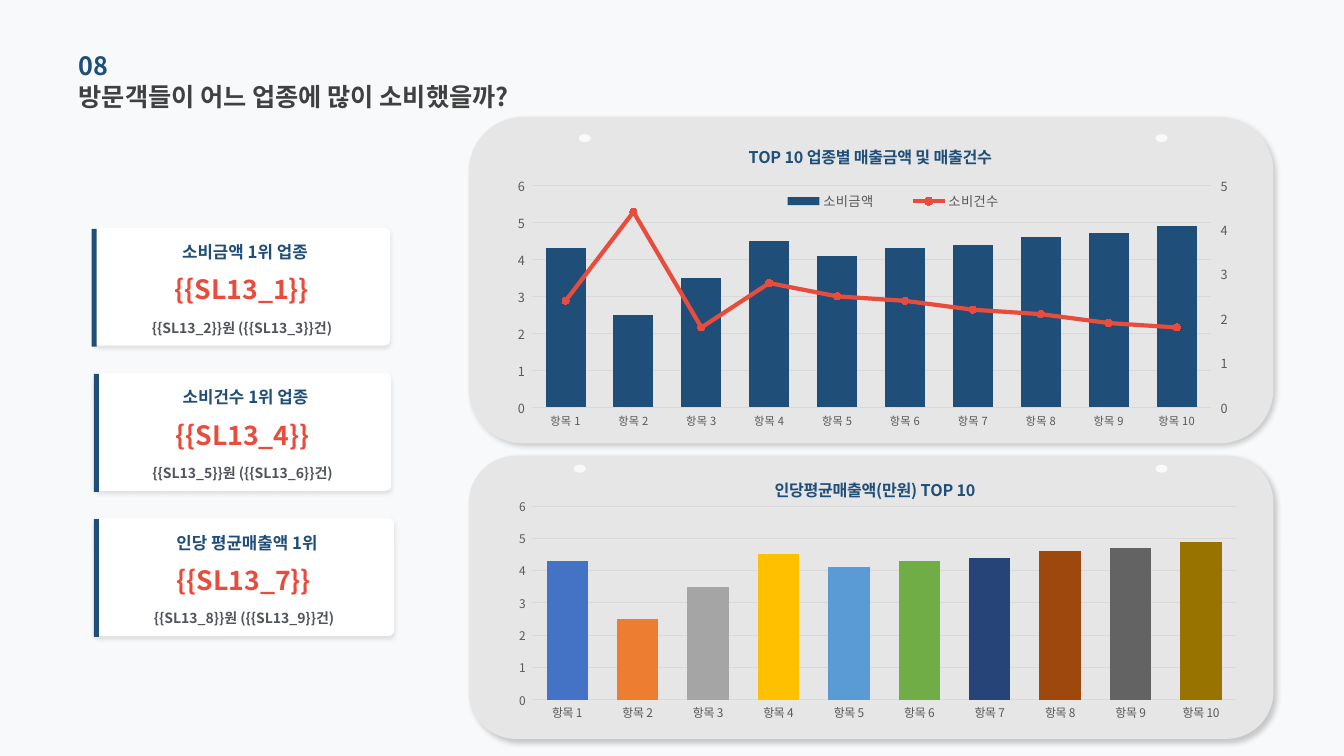
import copy

import pptx
import pptx.chart.data
import pptx.dml.color
import pptx.enum.chart
import pptx.enum.shapes
import pptx.enum.text
import pptx.oxml
import pptx.oxml.ns
import pptx.util

Inches, Pt = pptx.util.Inches, pptx.util.Pt
qn = pptx.oxml.ns.qn
RGBColor = pptx.dml.color.RGBColor
SHAPE = pptx.enum.shapes.MSO_SHAPE
ALIGN = pptx.enum.text.PP_ALIGN
TICK = pptx.enum.chart.XL_TICK_MARK

NAVY, RED = RGBColor(0x1F, 0x4E, 0x79), RGBColor(0xE7, 0x4C, 0x3C)
WHITE, PAPER = RGBColor(0xFF, 0xFF, 0xFF), RGBColor(0xF8, 0xF9, 0xFA)
PANEL, GRID = RGBColor(0xE7, 0xE6, 0xE6), RGBColor(0xD9, 0xD9, 0xD9)
DARK, SLATE = RGBColor(0x40, 0x40, 0x40), RGBColor(0x51, 0x54, 0x5A)
GREY = RGBColor(0x59, 0x59, 0x59)
BAR_COLORS = [RGBColor.from_string(code) for code in (
    "4472C4", "ED7D31", "A5A5A5", "FFC000", "5B9BD5",
    "70AD47", "264478", "9E480E", "636363", "997300")]
FONT = "Noto Sans CJK KR"

# Content
HEADINGS = [("08", 0.44, NAVY), ("방문객들이 어느 업종에 많이 소비했을까?", 0.75, DARK)]
CARDS = [  # lines, bar left, card width
    (("소비금액 1위 업종", "{{SL13_1}}", "{{SL13_2}}원 ({{SL13_3}}건)"), 0.91, 2.94),
    (("소비건수 1위 업종", "{{SL13_4}}", "{{SL13_5}}원 ({{SL13_6}}건)"), 0.93, 2.95),
    (("인당 평균매출액 1위", "{{SL13_7}}", "{{SL13_8}}원 ({{SL13_9}}건)"), 0.93, 2.98),
]
CARD_LINES = [  # offset from card top, height, shift right, size, colour
    (0.13, 0.22, 0.03, 12, NAVY),
    (0.44, 0.34, 0, 19, RED),
    (0.91, 0.17, 0, 10, SLATE),
]
CARD_LEFT, CARD_TOP, CARD_HEIGHT, CARD_STEP = 0.93, 2.26, 1.17, 1.44
PANELS = [(4.65, 4.52, 7.98, 2.81), (4.65, 1.16, 7.98, 3.24)]
HOLES = [(5.74, 1.33), (11.46, 1.33), (5.69, 4.61), (11.46, 4.61)]
CATEGORIES = [f"항목 {number}" for number in range(1, 11)]
AMOUNTS = [4.3, 2.5, 3.5, 4.5, 4.1, 4.3, 4.4, 4.6, 4.7, 4.9]
COUNTS = [2.4, 4.4, 1.8, 2.8, 2.5, 2.4, 2.2, 2.1, 1.9, 1.8]
SALES = dict(at=(4.98, 1.24, 7.32, 3.15), title="TOP 10 업종별 매출금액 및 매출건수",
             title_at=(0.33, 0.05), plot_at=(0.04, 0.19, 0.92, 0.7),
             sizes=(8, 9), series=[("소비금액", AMOUNTS), ("소비건수", COUNTS)])
AVERAGE = dict(at=(4.98, 4.54, 7.43, 2.67), title="인당평균매출액(만원) TOP 10",
               title_at=(0.36, 0.06), plot_at=(0.04, 0.18, 0.94, 0.72),
               sizes=(8.5, 8.5), series=[("Series 1", AMOUNTS)])


def apply(target, **values):
    for name, value in values.items():
        if name == "color":
            target.color.rgb = value
        else:
            setattr(target, name, value)


def paint(fill, color):
    fill.solid()
    fill.fore_color.rgb = color


def add_block(parent, kind, at, color, shadow=None):
    shape = parent.shapes.add_shape(kind, *map(Inches, at))
    paint(shape.fill, color)
    shape.line.fill.background()
    shape.shadow.inherit = False
    if shadow:
        alpha, blur, distance, angle = shadow
        effects = shape.element.spPr.find(qn("a:effectLst"))
        effects.append(pptx.oxml.parse_xml(
            f'<a:outerShdw {pptx.oxml.ns.nsdecls("a")} blurRad="{Pt(blur)}" dist="{Pt(distance)}" '
            f'dir="{angle * 60000}" algn="ctr" rotWithShape="0"><a:srgbClr val="000000">'
            f'<a:alpha val="{alpha * 1000}"/></a:srgbClr></a:outerShdw>'))
    return shape


def add_text(parent, at, text, size, color, align=ALIGN.LEFT):
    frame = parent.shapes.add_textbox(*map(Inches, at)).text_frame
    apply(frame, word_wrap=True, margin_left=0, margin_right=0, margin_top=0,
          margin_bottom=0, vertical_anchor=pptx.enum.text.MSO_ANCHOR.MIDDLE)
    para = frame.paragraphs[0]
    para.alignment = align
    span = para.add_run()
    span.text = text
    apply(span.font, name=FONT, size=Pt(size), bold=True, color=color)


def drop(parent, tag):
    for child in parent.findall(qn(tag)):
        parent.remove(child)


def place(chart, tag, index, numbers):
    """Give a chart part a fixed position, in fractions of the chart."""
    element = next(chart.element.iter(qn(tag)))
    drop(element, "c:layout")
    target = '<c:layoutTarget val="inner"/>' if tag == "c:plotArea" else ""
    modes = '<c:xMode val="edge"/><c:yMode val="edge"/>'
    values = "".join(f'<c:{key} val="{number}"/>' for key, number in zip("xywh", numbers))
    element.insert(index, pptx.oxml.parse_xml(
        f'<c:layout {pptx.oxml.ns.nsdecls("c")}><c:manualLayout>{target}{modes}{values}'
        '</c:manualLayout></c:layout>'))


def add_columns(page, at, title, title_at, plot_at, sizes, series):
    data = pptx.chart.data.CategoryChartData()
    data.categories = CATEGORIES
    for name, values in series:
        data.add_series(name, values)
    chart = page.shapes.add_chart(pptx.enum.chart.XL_CHART_TYPE.COLUMN_CLUSTERED,
                                  *map(Inches, at), data).chart
    apply(chart.font, name="Calibri", size=Pt(10))
    chart.has_legend = False
    span = chart.chart_title.text_frame.paragraphs[0].add_run()
    span.text = title
    apply(span.font, name=FONT, size=Pt(11.5), bold=True, color=NAVY)
    place(chart, "c:title", 1, title_at)
    place(chart, "c:plotArea", 0, plot_at)
    apply(chart.plots[0], gap_width=70, overlap=-27, vary_by_categories=False)
    for axis, size in zip((chart.category_axis, chart.value_axis), sizes):
        apply(axis, major_tick_mark=TICK.NONE, minor_tick_mark=TICK.NONE)
        apply(axis.tick_labels.font, name=FONT, size=Pt(size), bold=False, color=GREY)
    apply(chart.category_axis.format.line, width=Pt(0.75), color=GRID)
    axis = chart.value_axis
    apply(axis, minimum_scale=0, maximum_scale=6, major_unit=1, has_major_gridlines=True)
    apply(axis.major_gridlines.format.line, width=Pt(0.75), color=GRID)
    axis.format.line.fill.background()
    apply(axis.tick_labels, number_format="#,##0_ ", number_format_is_linked=False)
    return chart


def move_to_line(chart):
    """Turn the second series into a line on a right-hand axis."""
    area = next(chart.element.iter(qn("c:plotArea")))
    bars = area.find(qn("c:barChart"))
    series = bars.findall(qn("c:ser"))[1]
    drop(series, "c:invertIfNegative")
    line = pptx.oxml.parse_xml(
        f'<c:lineChart {pptx.oxml.ns.nsdecls("c")}><c:grouping val="standard"/>'
        '<c:varyColors val="0"/><c:marker val="1"/><c:axId val="5001"/><c:axId val="5002"/>'
        '</c:lineChart>')
    line.insert(2, series)
    bars.addnext(line)
    right = copy.deepcopy(area.find(qn("c:valAx")))
    hidden = copy.deepcopy(area.find(qn("c:catAx")))
    area.find(qn("c:valAx")).addnext(right)
    right.addnext(hidden)
    drop(right, "c:majorGridlines")
    changes = [(right, "axId", "5002"), (right, "crossAx", "5001"), (right, "axPos", "r"),
               (right, "crosses", "max"), (right, "majorTickMark", "out"),
               (right, "scaling/c:max", "5"), (hidden, "axId", "5001"),
               (hidden, "crossAx", "5002"), (hidden, "delete", "1")]
    for axis, tag, value in changes:
        axis.find("/".join(map(qn, ("c:" + tag).split("/")))).set("val", value)
    return chart.plots[1].series[0]


deck = pptx.Presentation()
deck.slide_width, deck.slide_height = Inches(13.33), Inches(7.5)
page = deck.slides.add_slide(deck.slide_layouts[6])
paint(page.background.fill, PAPER)

# Panels and headings
for at in PANELS:
    add_block(page, SHAPE.ROUNDED_RECTANGLE, at, PANEL, shadow=(20, 4, 3, 45))
for text, top, color in HEADINGS:
    add_text(page, (0.78, top, 4.52, 0.41), text, 18, color)
# Cards
for row, (lines, bar_left, width) in enumerate(CARDS):
    top = CARD_TOP + row * CARD_STEP
    group = page.shapes.add_group_shape()
    card = add_block(group, SHAPE.ROUNDED_RECTANGLE, (CARD_LEFT, top, width, CARD_HEIGHT),
                     WHITE, shadow=(10, 3, 2, 90))
    card.adjustments[0] = 0.05
    for text, (offset, height, shift, size, color) in zip(lines, CARD_LINES):
        add_text(group, (CARD_LEFT + shift, top + offset, width, height),
                 text, size, color, ALIGN.CENTER)
    add_block(page, SHAPE.RECTANGLE, (bar_left, top + 0.01, 0.05, CARD_HEIGHT), NAVY)
# Sales amount and count
sales = add_columns(page, **SALES)
paint(sales.plots[0].series[0].format.fill, NAVY)
counts = move_to_line(sales)
counts.smooth = False
apply(counts.format.line, width=Pt(3), color=RED)
apply(counts.marker, style=pptx.enum.chart.XL_MARKER_STYLE.CIRCLE, size=5)
paint(counts.marker.format.fill, RED)
apply(counts.marker.format.line, color=RED)
sales.has_legend = True
apply(sales.legend, position=pptx.enum.chart.XL_LEGEND_POSITION.TOP, include_in_layout=False)
apply(sales.legend.font, name=FONT, size=Pt(9.5), color=GREY)
place(sales, "c:legend", 1, (0.34, 0.2, 0.38, 0.08))
# Average spend per person
average = add_columns(page, **AVERAGE)
for index, color in enumerate(BAR_COLORS):
    paint(average.plots[0].series[0].points[index].format.fill, color)
# Panel holes
for left, top in HOLES:
    add_block(page, SHAPE.OVAL, (left, top, 0.12, 0.08), PAPER)
# Korean glyphs take the same font as Latin ones
for root in (page.element, sales.element, average.element):
    for latin in list(root.iter(qn("a:latin"))):
        latin.addnext(latin.makeelement(qn("a:ea"), {"typeface": latin.get("typeface")}))

deck.save("out.pptx")
